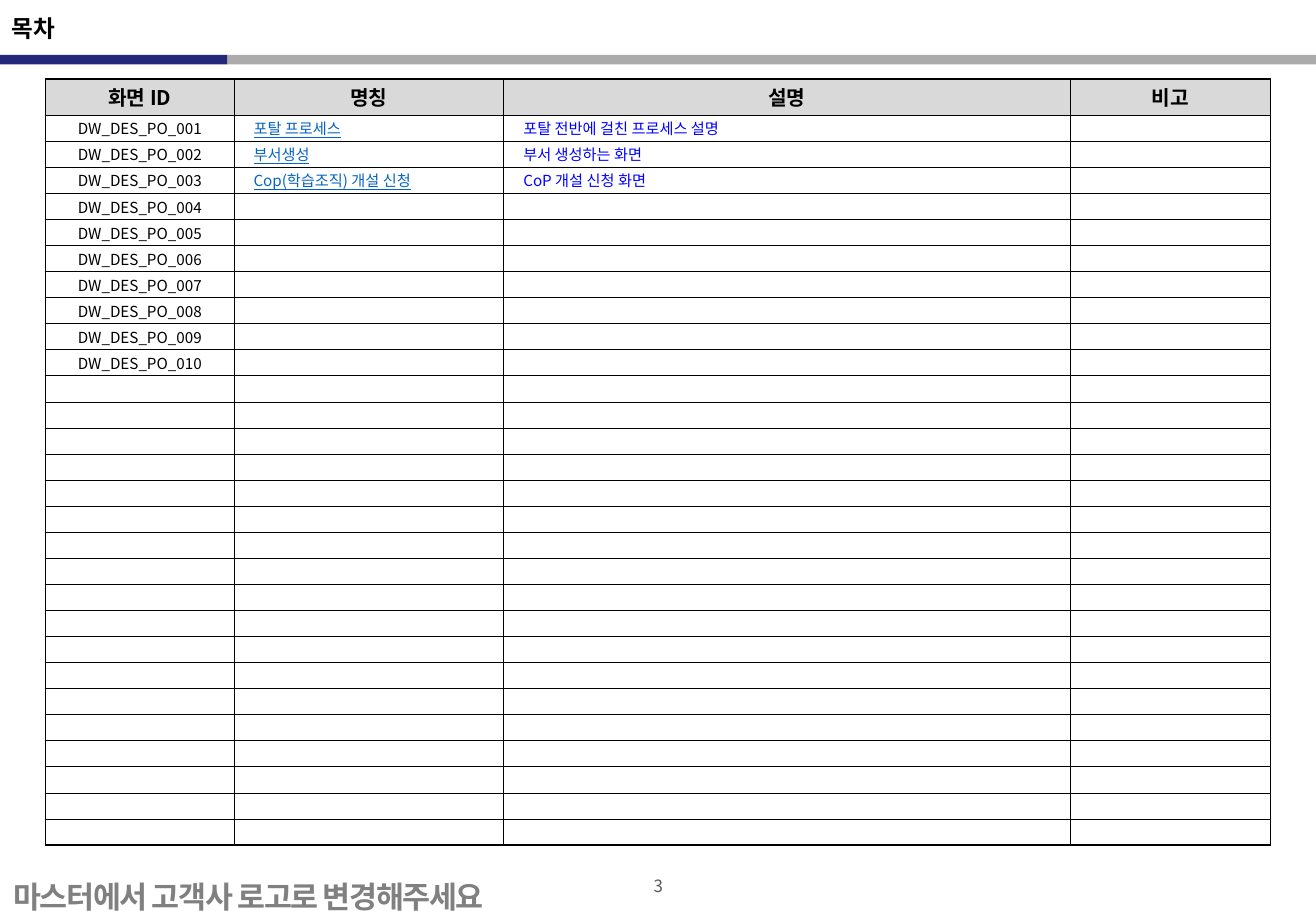
from dataclasses import dataclass

from lxml.etree import SubElement
from pptx import Presentation
from pptx.dml.color import RGBColor as RGB
from pptx.enum.shapes import MSO_SHAPE as SHAPE
from pptx.enum.text import MSO_ANCHOR as ANCHOR, PP_ALIGN as ALIGN
from pptx.oxml.ns import qn
from pptx.util import Cm, Pt


@dataclass(frozen=True)
class Theme:
    font: str = "Noto Sans CJK KR"
    black: str = "000000"
    navy: str = "23287A"
    rule_gray: str = "ABABAB"
    header_fill: str = "D9D9D9"
    link: str = "0563C1"
    blue: str = "0000FF"
    page_gray: str = "595959"
    footer_gray: str = "808080"
    title: int = 14
    header: int = 12
    body: int = 9
    page: int = 10
    footer: int = 18
    thin: float = 0.5
    thick: float = 1


class Deck:
    def __init__(self, theme, width, height):
        self.theme = theme
        self.prs = Presentation()
        self.prs.slide_width, self.prs.slide_height = Cm(width), Cm(height)
        self.s = self.prs.slides.add_slide(self.prs.slide_layouts[6])

    def fill_paragraph(self, p, text, size, color, bold=False, underline=False,
                       align=ALIGN.LEFT, indent=0, spacing=0):
        p.alignment = align
        if indent:
            p._p.get_or_add_pPr().set("marL", str(Cm(indent)))
        if text:
            p.add_run().text = text
        else:
            # An empty cell keeps its row low through the end mark
            SubElement(p._p, qn("a:endParaRPr")).set("sz", str(size * 100))
        f = p.font
        f.name, f.size, f.bold, f.underline = self.theme.font, Pt(size), bold, underline
        f.color.rgb = RGB.from_string(color)
        for r in p.runs:
            rPr = r._r.get_or_add_rPr()
            if spacing:
                rPr.set("spc", str(int(spacing * 100)))
            SubElement(rPr, qn("a:ea")).set("typeface", self.theme.font)

    def text(self, x, y, w, h, text, size, color, anchor=ANCHOR.TOP,
             wrap=True, line_spacing=None, **style):
        tf = self.s.shapes.add_textbox(Cm(x), Cm(y), Cm(w), Cm(h)).text_frame
        tf.word_wrap, tf.vertical_anchor = wrap, anchor
        p = tf.paragraphs[0]
        p.line_spacing = line_spacing
        self.fill_paragraph(p, text, size, color, **style)

    def bar(self, x, y, w, h, color):
        sp = self.s.shapes.add_shape(SHAPE.RECTANGLE, Cm(x), Cm(y), Cm(w), Cm(h))
        sp.shadow.inherit = False
        sp.fill.solid()
        sp.fill.fore_color.rgb = RGB.from_string(color)
        sp.line.fill.background()

    def border(self, cell, side, width):
        ln = SubElement(cell._tc.get_or_add_tcPr(), qn(f"a:ln{side}"), w=str(Pt(width)))
        fill = SubElement(ln, qn("a:solidFill"))
        SubElement(fill, qn("a:srgbClr")).set("val", self.theme.black)

    def table(self, x, y, widths, header_height, height, header, rows, styles):
        t = self.theme
        n_rows, n_cols = len(rows) + 1, len(widths)
        tbl = self.s.shapes.add_table(n_rows, n_cols, Cm(x), Cm(y),
                                      Cm(sum(widths)), Cm(height)).table
        tbl.first_row = tbl.horz_banding = False
        for col, w in zip(tbl.columns, widths):
            col.width = Cm(w)
        for i, row in enumerate(tbl.rows):
            row.height = Cm((height - header_height) / len(rows) if i else header_height)
        header_style = dict(size=t.header, color=t.black, bold=True, align=ALIGN.CENTER)
        for i, texts in enumerate([header, *rows]):
            for j, text in enumerate(texts):
                cell = tbl.cell(i, j)
                cell.margin_left = cell.margin_right = 0
                cell.margin_top = cell.margin_bottom = 0
                cell.vertical_anchor = ANCHOR.MIDDLE
                # Thick lines run round the table and under the header
                thick = {"L": j == 0, "R": j == n_cols - 1,
                         "T": i < 2, "B": i in (0, n_rows - 1)}
                for side, is_thick in thick.items():
                    self.border(cell, side, t.thick if is_thick else t.thin)
                if i:
                    cell.fill.background()
                else:
                    cell.fill.solid()
                    cell.fill.fore_color.rgb = RGB.from_string(t.header_fill)
                self.fill_paragraph(cell.text_frame.paragraphs[0], text,
                                    **(styles[j] if i else header_style))


def main():
    t = Theme()
    deck = Deck(t, 27.51, 19.05)

    # Footer and page number
    deck.text(12.17, 18.19, 3.18, 0.76, "3", t.page, t.page_gray, align=ALIGN.CENTER)
    deck.text(0.03, 17.86, 11.53, 1.27, "마스터에서 고객사 로고로 변경해주세요",
              t.footer, t.footer_gray, wrap=False, line_spacing=1.5,
              bold=True, spacing=-0.8)

    # Two-tone rule under the title
    deck.bar(4.75, 1.15, 22.76, 0.2, t.rule_gray)
    deck.bar(0, 1.15, 4.75, 0.2, t.navy)

    # Screen list
    screens = [("포탈 프로세스", "포탈 전반에 걸친 프로세스 설명"),
               ("부서생성", "부서 생성하는 화면"),
               ("Cop(학습조직) 개설 신청", "CoP 개설 신청 화면")]
    n_ids, n_rows = 10, 28
    rows = []
    for k in range(n_rows):
        name, note = screens[k] if k < len(screens) else ("", "")
        rows.append((f"DW_DES_PO_{k + 1:03}" if k < n_ids else "", name, note, ""))
    styles = [dict(size=t.body, color=t.black, align=ALIGN.CENTER),
              dict(size=t.body, color=t.link, underline=True, indent=0.41),
              dict(size=t.body, color=t.blue, indent=0.41),
              dict(size=t.body, color=t.black)]
    deck.table(0.95, 1.65, [3.94, 5.64, 11.84, 4.19], 0.76, 16.03,
               ["화면 ID", "명칭", "설명", "비고"], rows, styles)

    # Title
    deck.text(0, 0, 18.16, 1.19, "목차", t.title, t.black, anchor=ANCHOR.MIDDLE, bold=True)

    deck.prs.save("out.pptx")


if __name__ == "__main__":
    main()
